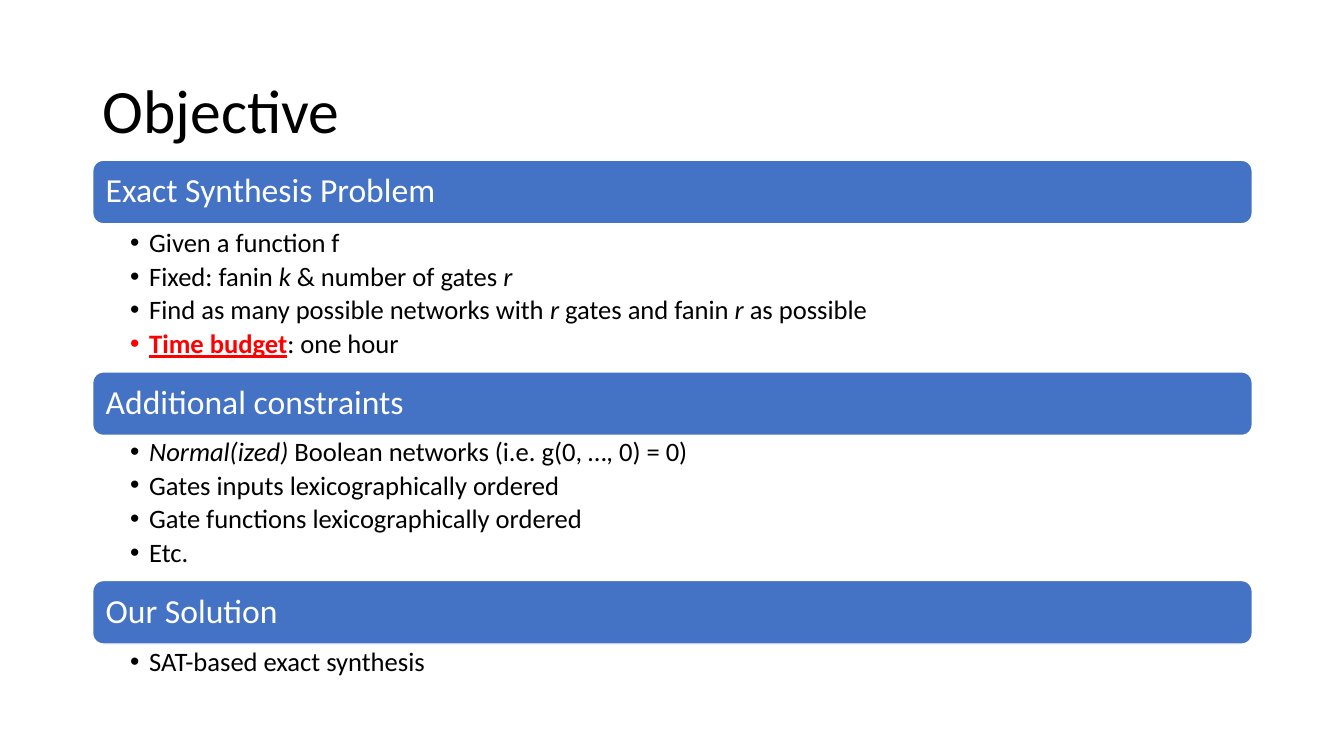
from dataclasses import dataclass

from lxml.etree import SubElement
from pptx import Presentation
from pptx.dml.color import RGBColor
from pptx.enum.shapes import MSO_SHAPE as Shape
from pptx.enum.text import MSO_ANCHOR as Anchor, PP_ALIGN as Align
from pptx.oxml.ns import qn
from pptx.util import Inches, Pt

FONT = "Calibri"
BLACK, WHITE, BLUE, RED = "000000", "FFFFFF", "4472C4", "FF0000"
LEFT, WIDTH, BAR_HEIGHT = 0.92, 11.5, 0.63
BULLET_INDENT = 0.19


@dataclass(frozen=True)
class Span:
    """A stretch of text in one format."""
    text: str
    italic: bool = False
    strong: bool = False


@dataclass(frozen=True)
class Section:
    """A heading bar with the bullet list below it."""
    heading: str
    bar_top: float
    list_top: float
    list_height: float
    bullets: list[list[Span]]


SECTIONS = [
    Section("Exact Synthesis Problem", 1.59, 2.25, 1.44, [
        [Span("Given a function f")],
        [Span("Fixed: fanin "), Span("k ", italic=True),
         Span("& number of gates "), Span("r", italic=True)],
        [Span("Find as many possible networks with "), Span("r", italic=True),
         Span(" gates and fanin "), Span("r", italic=True), Span(" as possible")],
        [Span("Time budget", strong=True), Span(": one hour")],
    ]),
    Section("Additional constraints", 3.69, 4.32, 1.44, [
        [Span("Normal(ized)", italic=True),
         Span(" Boolean networks (i.e. g(0, …, 0) = 0)")],
        [Span("Gates inputs lexicographically ordered")],
        [Span("Gate functions lexicographically ordered")],
        [Span("Etc.")],
    ]),
    Section("Our Solution", 5.76, 6.4, 0.43, [
        [Span("SAT-based exact synthesis")],
    ]),
]


def rgb(value: str) -> RGBColor:
    """Turn a hex string into a colour."""
    return RGBColor.from_string(value)


def add_text(para, text: str, *, size: float, color: str = BLACK,
             italic: bool = False, bold: bool = False, underline: bool = False) -> None:
    """Append formatted text to a paragraph."""
    run = para.add_run()
    run.text = text
    font = run.font
    font.name, font.size = FONT, Pt(size)
    font.italic, font.bold, font.underline = italic, bold, underline
    font.color.rgb = rgb(color)


def set_frame(box, anchor: Anchor, left: float, top: float, right: float, bottom: float):
    """Set the insets and anchor of a shape and return its text frame."""
    frame = box.text_frame
    frame.word_wrap = True
    frame.vertical_anchor = anchor
    frame.margin_left, frame.margin_right = Inches(left), Inches(right)
    frame.margin_top, frame.margin_bottom = Inches(top), Inches(bottom)
    return frame


def set_para(para, space_after: float = 0) -> None:
    """Set the alignment and spacing of a paragraph."""
    para.alignment = Align.LEFT
    para.line_spacing = 0.9
    para.space_after = Pt(space_after)


def add_bullet(para) -> None:
    """Give a paragraph a hanging bullet."""
    properties = para._p.get_or_add_pPr()
    properties.set("marL", str(Inches(BULLET_INDENT)))
    properties.set("indent", str(-Inches(BULLET_INDENT)))
    SubElement(properties, qn("a:buFont"), typeface="Arial")
    SubElement(properties, qn("a:buChar"), char="•")


def draw_title(page, text: str) -> None:
    """Draw the slide title."""
    box = page.shapes.add_textbox(Inches(LEFT), Inches(0.4), Inches(WIDTH), Inches(1.45))
    para = set_frame(box, Anchor.MIDDLE, 0.1, 0.05, 0.1, 0.05).paragraphs[0]
    set_para(para)
    add_text(para, text, size=44)


def draw_bar(shapes, section: Section) -> None:
    """Draw the heading bar of a section."""
    bar = shapes.add_shape(Shape.ROUNDED_RECTANGLE, Inches(LEFT), Inches(section.bar_top),
                           Inches(WIDTH), Inches(BAR_HEIGHT))
    bar.shadow.inherit = False
    bar.fill.solid()
    bar.fill.fore_color.rgb = rgb(BLUE)
    bar.line.color.rgb = rgb(WHITE)
    bar.line.width = Pt(1)
    para = set_frame(bar, Anchor.MIDDLE, 0.1, 0.1, 0.1, 0.1).paragraphs[0]
    set_para(para)
    add_text(para, section.heading, size=24, color=WHITE)


def draw_list(shapes, section: Section) -> None:
    """Draw the bullet list of a section."""
    box = shapes.add_textbox(Inches(LEFT), Inches(section.list_top),
                             Inches(WIDTH), Inches(section.list_height))
    frame = set_frame(box, Anchor.TOP, 0.37, 0.03, 0.19, 0.03)
    for index, spans in enumerate(section.bullets):
        para = frame.add_paragraph() if index else frame.paragraphs[0]
        para.level = 1
        set_para(para, space_after=3.5)
        add_bullet(para)
        for span in spans:
            add_text(para, span.text, size=19, color=RED if span.strong else BLACK,
                     italic=span.italic, bold=span.strong, underline=span.strong)


def main() -> None:
    """Build the slide and save it."""
    deck = Presentation()
    deck.slide_width, deck.slide_height = Inches(13.33), Inches(7.5)
    page = deck.slides.add_slide(deck.slide_layouts[6])
    draw_title(page, "Objective")
    group = page.shapes.add_group_shape()
    for section in SECTIONS:
        draw_bar(group.shapes, section)
        draw_list(group.shapes, section)
    deck.save("out.pptx")


main()
